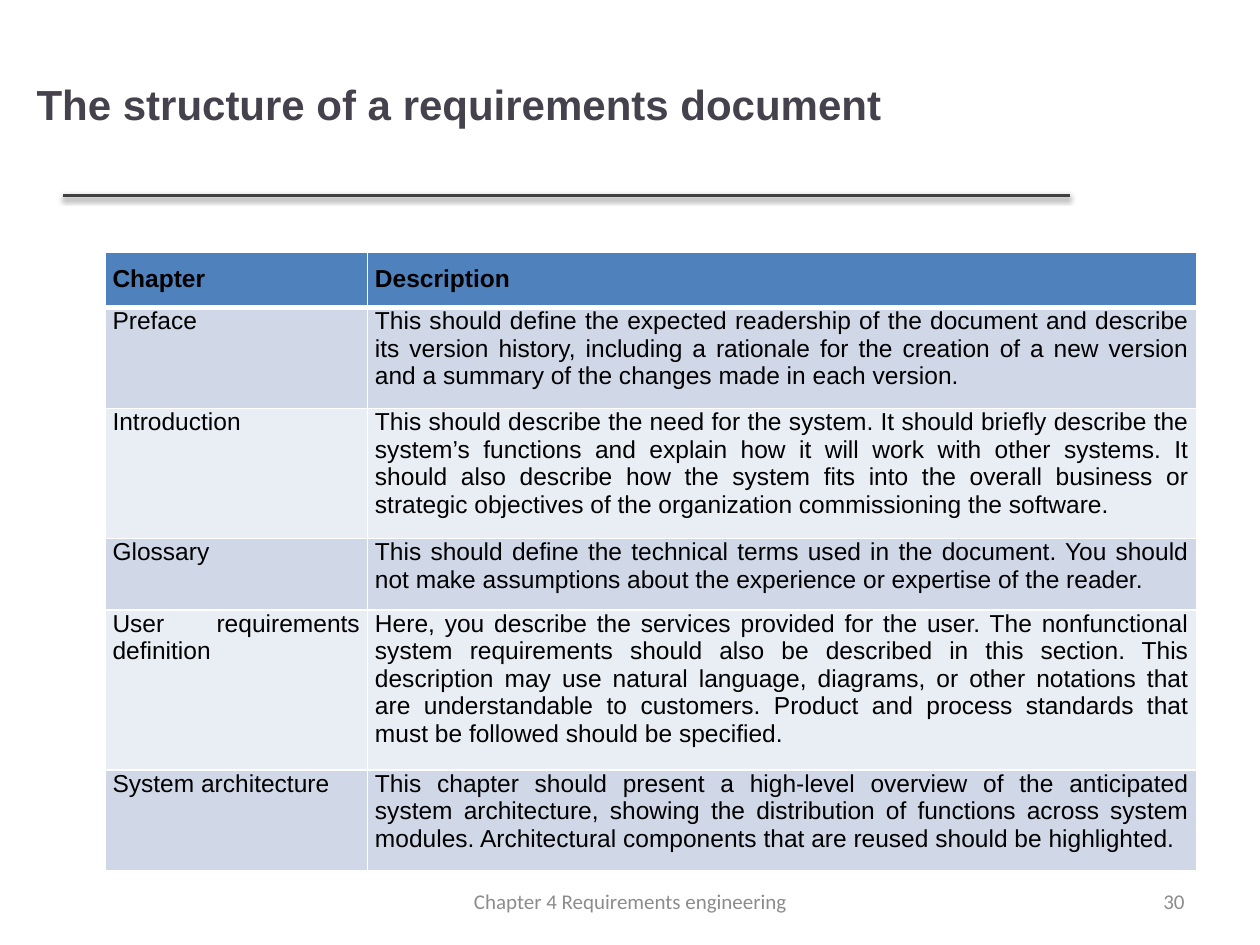
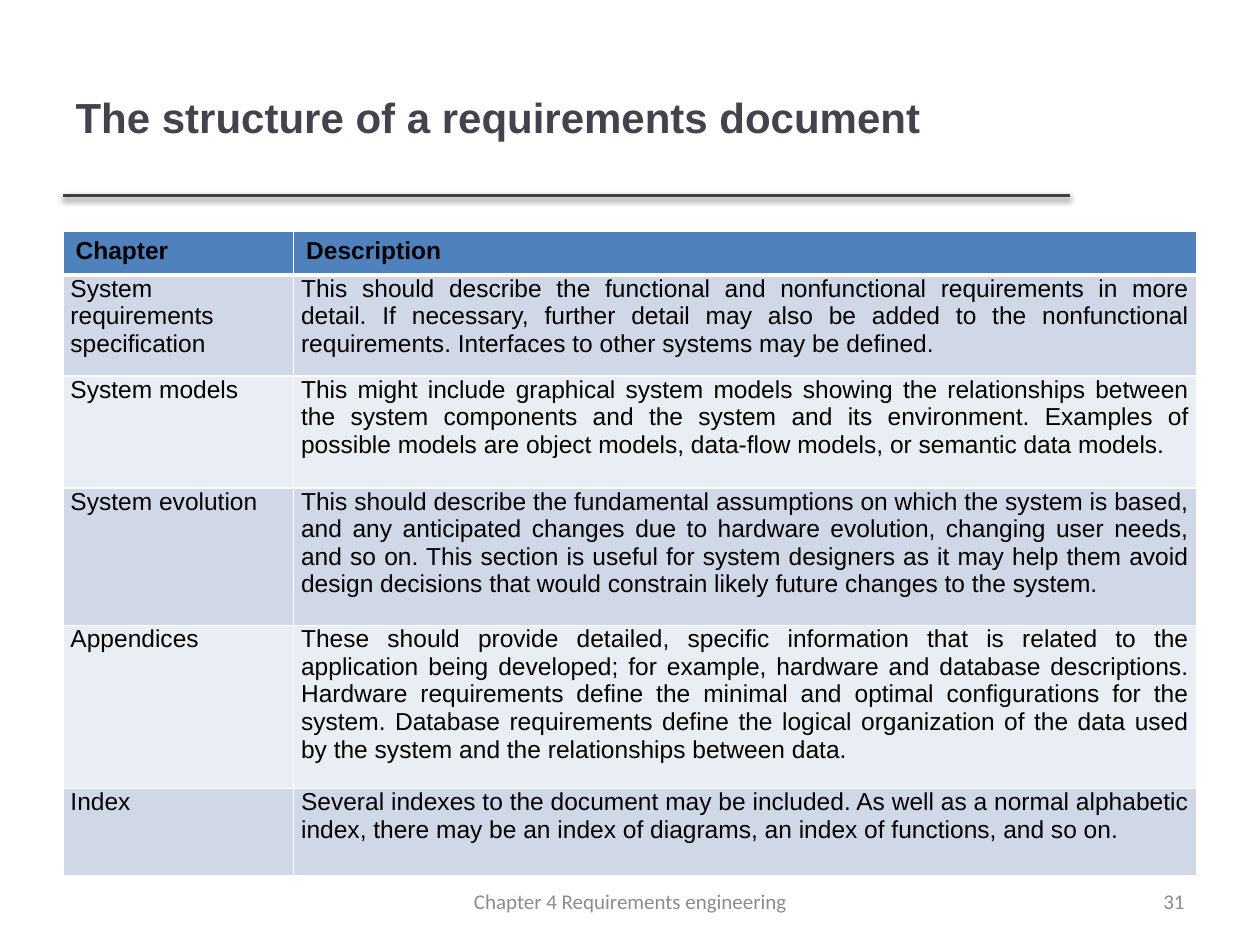
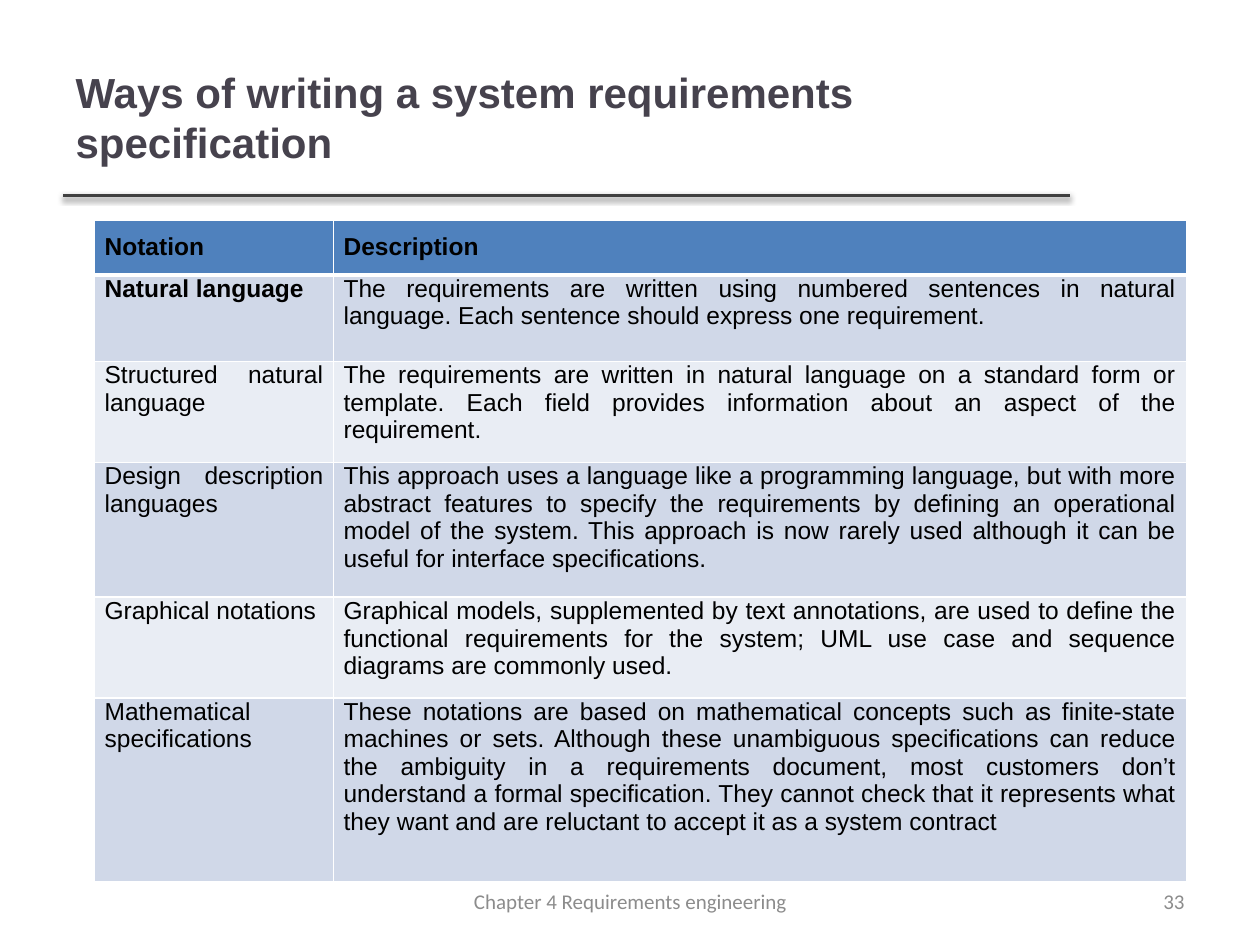
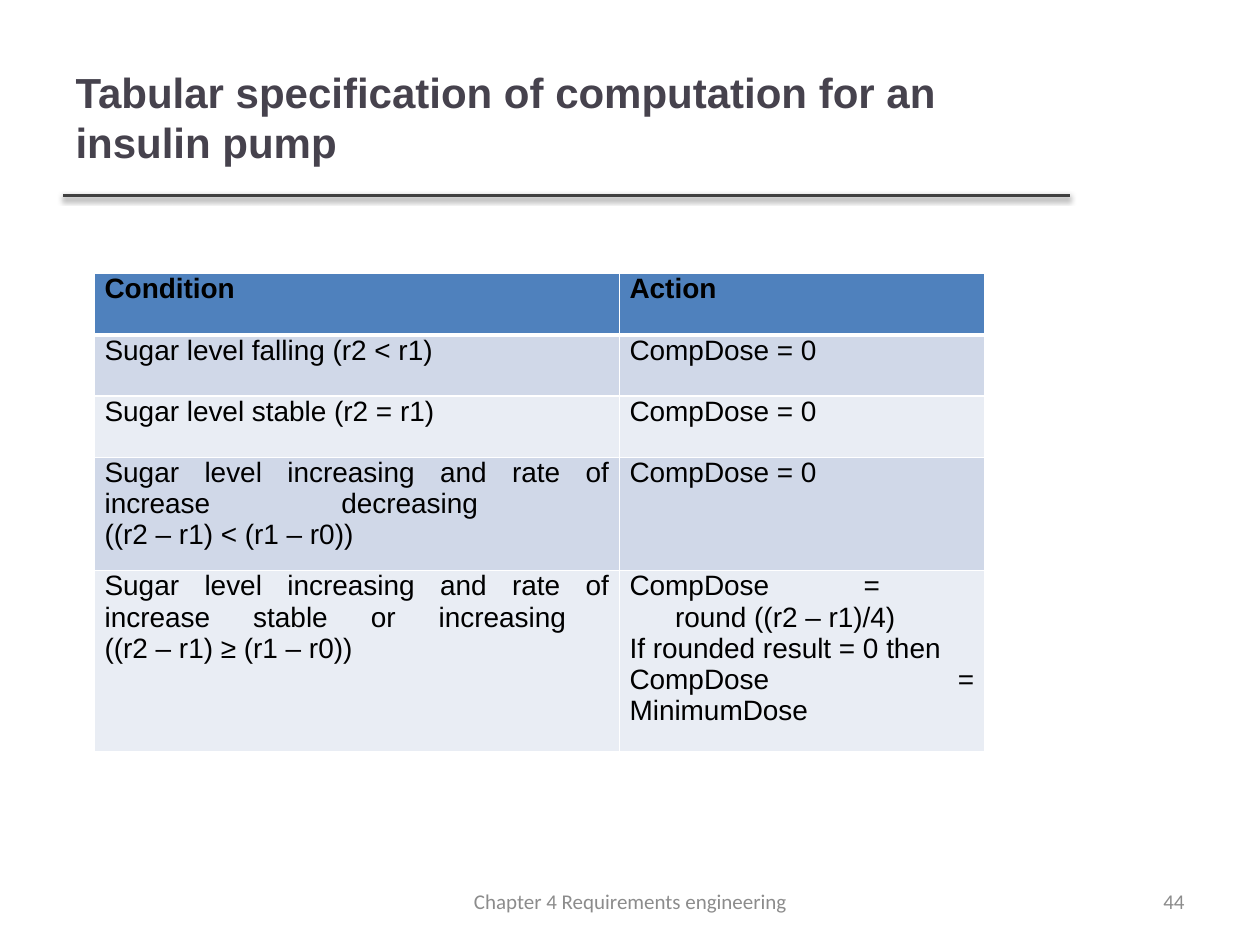
from lxml.etree import SubElement
from pptx import Presentation
from pptx.dml.color import RGBColor
from pptx.enum.shapes import MSO_CONNECTOR
from pptx.enum.text import MSO_ANCHOR, MSO_AUTO_SIZE, PP_ALIGN
from pptx.oxml.ns import qn
from pptx.util import Pt

# Colours
TITLE_COLOR = RGBColor(0x46, 0x42, 0x4D)
RULE_COLOR = RGBColor(0x40, 0x40, 0x40)
FOOTER_COLOR = RGBColor(0x8C, 0x8C, 0x8C)
BLACK = RGBColor(0, 0, 0)
WHITE = RGBColor(0xFF, 0xFF, 0xFF)
HEADER_FILL = RGBColor(0x4F, 0x81, 0xBD)
BAND_FILLS = (RGBColor(0xD0, 0xD8, 0xE8), RGBColor(0xE9, 0xED, 0xF4))

# Font formats
TITLE_FONT = {"name": "Arial", "size": Pt(24), "bold": True}
CELL_FONT = {"name": "Arial", "size": Pt(14), "bold": False}
FOOTER_FONT = {"name": "Calibri", "size": Pt(12)}

# Shared places: left, top, width, height in points
TITLE_BOX = (36, 21.6, 574.6, 90)
FOOTER_BOX = (246.2, 500.4, 228.2, 28.8)
NUMBER_BOX = (516.2, 500.4, 167.8, 28.8)
FOOTER_TEXT = "Chapter 4 Requirements engineering"
HANGING_INDENT = 26


def set_values(target, values):
    for name, value in values.items():
        setattr(target, name, value)


def place(shape, box):
    sides = ("left", "top", "width", "height")
    set_values(shape, {side: Pt(length) for side, length in zip(sides, box)})


def add_element(parent, tag, **attributes):
    return SubElement(parent, qn(tag), {key: str(value) for key, value in attributes.items()})


class Deck:
    def __init__(self):
        self.presentation = Presentation()
        self.presentation.slide_width = Pt(720)
        self.presentation.slide_height = Pt(540)
        self.slide = None

    def add_slide(self, title, number, title_box=TITLE_BOX):
        self.slide = self.presentation.slides.add_slide(self.presentation.slide_layouts[5])
        self.add_rule()
        self.set_title(title, title_box)
        self.add_text(str(number), NUMBER_BOX, PP_ALIGN.RIGHT)
        self.add_text(FOOTER_TEXT, FOOTER_BOX, PP_ALIGN.CENTER)

    def set_text(self, frame, text, alignment, font, color):
        frame.text = text
        for paragraph in frame.paragraphs:
            paragraph.alignment = alignment
            for run in paragraph.runs:
                set_values(run.font, font)
                run.font.color.rgb = color

    def set_title(self, text, box):
        title = self.slide.shapes.title
        place(title, box)
        set_values(title.text_frame, {
            "word_wrap": True,
            "auto_size": MSO_AUTO_SIZE.NONE,
            "vertical_anchor": MSO_ANCHOR.MIDDLE,
        })
        self.set_text(title.text_frame, text, PP_ALIGN.LEFT, TITLE_FONT, TITLE_COLOR)

    def add_text(self, text, box, alignment):
        shape = self.slide.shapes.add_textbox(*map(Pt, box))
        set_values(shape.text_frame, {"word_wrap": True, "vertical_anchor": MSO_ANCHOR.MIDDLE})
        self.set_text(shape.text_frame, text, alignment, FOOTER_FONT, FOOTER_COLOR)

    def add_rule(self):
        rule = self.slide.shapes.add_connector(
            MSO_CONNECTOR.STRAIGHT, Pt(36), Pt(111.6), Pt(611.3), Pt(111.6))
        rule.line.color.rgb = RULE_COLOR
        rule.line.width = Pt(2)
        # Soft shadow straight below the rule
        effects = add_element(rule._element.spPr, "a:effectLst")
        shadow = add_element(effects, "a:outerShdw", blurRad=Pt(3.1), dist=Pt(1.6),
                             dir=90 * 60000, rotWithShape=0)
        color = add_element(shadow, "a:srgbClr", val="000000")
        add_element(color, "a:alpha", val=38000)

    def add_table(self, position, widths, heights, rows, side=5.8,
                  header_insets=(5.8, 7.2, 7.2), size=14, bold_cells=()):
        """Insets are (side, top, bottom); bold_cells lists body cells as (row, column)."""
        frame = self.slide.shapes.add_table(
            len(rows), len(widths), *map(Pt, (*position, sum(widths), sum(heights))))
        table = frame.table
        table.horz_banding = False
        for column, width in zip(table.columns, widths):
            column.width = Pt(width)
        for row, height in zip(table.rows, heights):
            row.height = Pt(height)
        for row_index, texts in enumerate(rows):
            header = row_index == 0
            margin, top, bottom = header_insets if header else (side, 0, 7.2)
            for column_index, text in enumerate(texts):
                cell = table.cell(row_index, column_index)
                set_values(cell, {
                    "margin_left": Pt(margin), "margin_right": Pt(margin),
                    "margin_top": Pt(top), "margin_bottom": Pt(bottom),
                })
                bold = header or (row_index, column_index) in bold_cells
                font = {**CELL_FONT, "size": Pt(size), "bold": bold}
                self.set_text(cell.text_frame, text, PP_ALIGN.JUSTIFY, font, BLACK)
                self.add_borders(cell, top=3 if row_index == 1 else 1, bottom=3 if header else 1)
                cell.fill.solid()
                cell.fill.fore_color.rgb = HEADER_FILL if header else BAND_FILLS[(row_index - 1) % 2]
        return table

    def add_borders(self, cell, top, bottom):
        properties = cell._tc.get_or_add_tcPr()
        for tag, width in (("a:lnL", 1), ("a:lnR", 1), ("a:lnT", top), ("a:lnB", bottom)):
            border = add_element(properties, tag, w=Pt(width))
            fill = add_element(border, "a:solidFill")
            add_element(fill, "a:srgbClr", val=WHITE)

    def hang(self, paragraph):
        properties = paragraph._p.get_or_add_pPr()
        properties.set("marL", str(Pt(HANGING_INDENT)))
        properties.set("indent", str(-Pt(HANGING_INDENT)))


def main():
    deck = Deck()

    # Document structure, first part
    deck.add_slide("The structure of a requirements document", 30, (13.7, 16.6, 580.3, 85.7))
    deck.add_table((60, 144.4), (150, 473.8), (29, 54.5, 70, 38.6, 85.8, 54.3), [
        ("Chapter", "Description"),
        ("Preface", "This should define the expected readership of the document and describe its "
         "version history, including a rationale for the creation of a new version and a summary "
         "of the changes made in each version."),
        ("Introduction", "This should describe the need for the system. It should briefly describe "
         "the system’s functions and explain how it will work with other systems. It should also "
         "describe how the system fits into the overall business or strategic objectives of the "
         "organization commissioning the software."),
        ("Glossary", "This should define the technical terms used in the document. You should not "
         "make assumptions about the experience or expertise of the reader."),
        ("User requirements definition", "Here, you describe the services provided for the user. "
         "The nonfunctional system requirements should also be described in this section. This "
         "description may use natural language, diagrams, or other notations that are "
         "understandable to customers. Product and process standards that must be followed should "
         "be specified."),
        ("System architecture", "This chapter should present a high-level overview of the "
         "anticipated system architecture, showing the distribution of functions across system "
         "modules. Architectural components that are reused should be highlighted."),
    ], side=4.3, header_insets=(4.3, 7.2, 7.2))

    # Document structure, second part
    deck.add_slide("The structure of a requirements document", 31)
    deck.add_table((36, 132.2), (131.8, 516.2), (25, 54.7, 64, 78.7, 93, 49.7), [
        ("Chapter", "Description"),
        ("System requirements specification", "This should describe the functional and "
         "nonfunctional requirements in more detail. If necessary, further detail may also be "
         "added to the nonfunctional requirements. Interfaces to other systems may be defined."),
        ("System models", "This might include graphical system models showing the relationships "
         "between the system components and the system and its environment. Examples of possible "
         "models are object models, data-flow models, or semantic data models."),
        ("System evolution", "This should describe the fundamental assumptions on which the system "
         "is based, and any anticipated changes due to hardware evolution, changing user needs, "
         "and so on. This section is useful for system designers as it may help them avoid design "
         "decisions that would constrain likely future changes to the system."),
        ("Appendices", "These should provide detailed, specific information that is related to the "
         "application being developed; for example, hardware and database descriptions. Hardware "
         "requirements define the minimal and optimal configurations for the system. Database "
         "requirements define the logical organization of the data used by the system and the "
         "relationships between data."),
        ("Index", "Several indexes to the document may be included. As well as a normal alphabetic "
         "index, there may be an index of diagrams, an index of functions, and so on."),
    ], side=4.3, header_insets=(7.2, 3.6, 3.6))

    # Notations for a specification
    deck.add_slide("Ways of writing a system requirements specification", 33)
    deck.add_table((54, 126), (136.6, 487.4), (29, 49.4, 54.5, 77, 54.5, 105), [
        ("Notation", "Description"),
        ("Natural language", "The requirements are written using numbered sentences in natural "
         "language. Each sentence should express one requirement."),
        ("Structured natural language", "The requirements are written in natural language on a "
         "standard form or template. Each field provides information about an aspect of the "
         "requirement."),
        ("Design description languages", "This approach uses a language like a programming "
         "language, but with more abstract features to specify the requirements by defining an "
         "operational model of the system. This approach is now rarely used although it can be "
         "useful for interface specifications."),
        ("Graphical notations", "Graphical models, supplemented by text annotations, are used to "
         "define the functional requirements for the system; UML use case and sequence diagrams "
         "are commonly used."),
        ("Mathematical specifications", "These notations are based on mathematical concepts such "
         "as finite-state machines or sets. Although these unambiguous specifications can reduce "
         "the ambiguity in a requirements document, most customers don’t understand a formal "
         "specification. They cannot check that it represents what they want and are reluctant to "
         "accept it as a system contract"),
    ], bold_cells=[(1, 0)])

    # Insulin pump computation
    deck.add_slide("Tabular specification of computation for an insulin pump", 44)
    table = deck.add_table((54, 156.4), (300, 208.6), (35, 35, 35, 60.5, 96), [
        ("Condition", "Action"),
        ("Sugar level falling (r2 < r1)", "CompDose = 0"),
        ("Sugar level stable (r2 = r1)", "CompDose = 0"),
        ("Sugar level increasing and rate of increase decreasing \v((r2 – r1) < (r1 – r0))",
         "CompDose = 0"),
        ("Sugar level increasing and rate of increase stable or increasing "
         "\v((r2 – r1) ≥ (r1 – r0))",
         "CompDose = \vround ((r2 – r1)/4)\nIf rounded result = 0 then\nCompDose = MinimumDose"),
    ], header_insets=(5.8, 0, 7.2), size=16)
    deck.hang(table.cell(4, 1).text_frame.paragraphs[0])

    deck.presentation.save("out.pptx")


if __name__ == "__main__":
    main()
